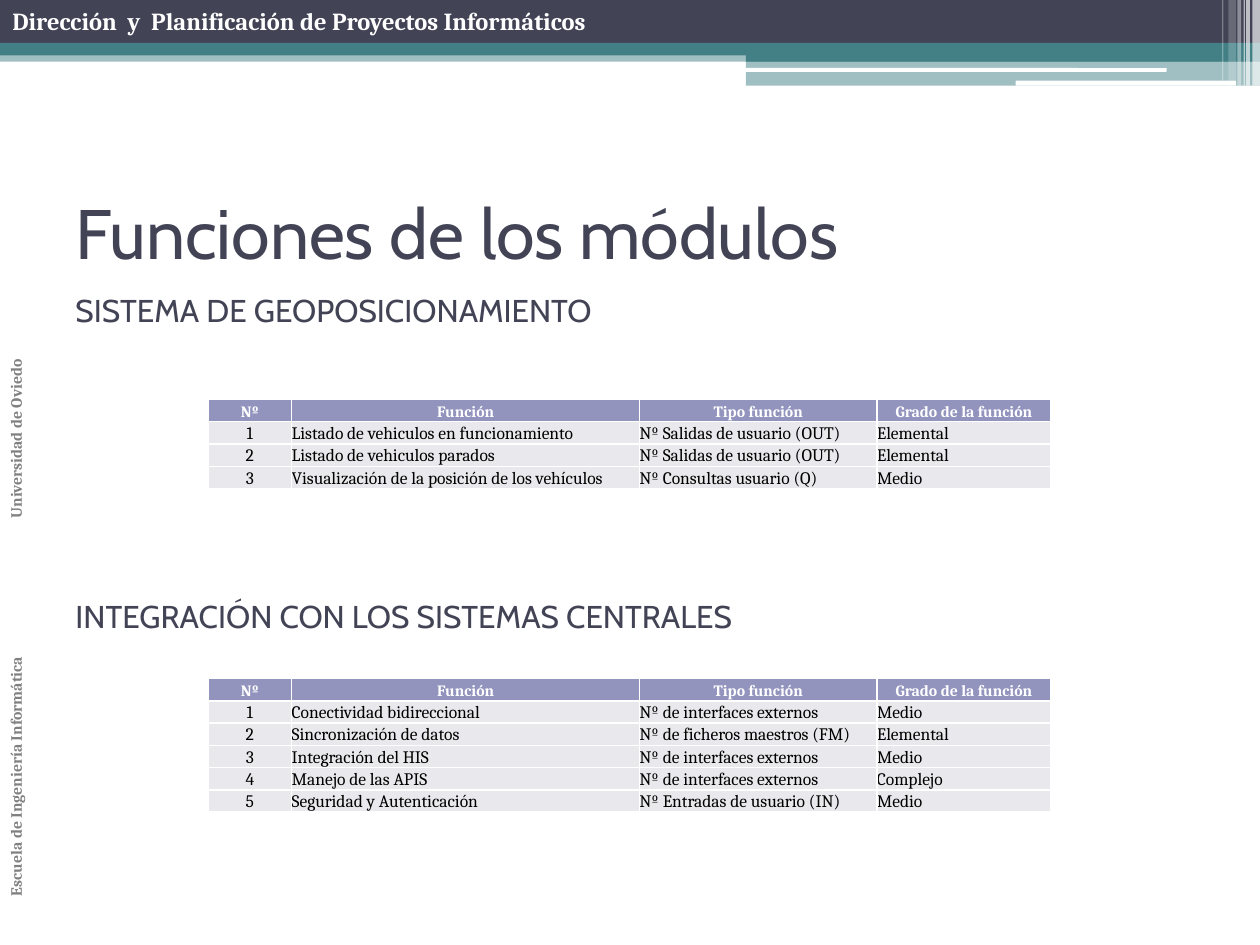
from dataclasses import dataclass

from lxml import etree
from pptx import Presentation
from pptx import util as u
from pptx.dml.color import RGBColor
from pptx.enum import shapes, text
from pptx.oxml.ns import qn

# The slide is a grid of 100 columns by 75 rows
COLUMNS, ROWS = 100, 75
CELL = u.Inches(0.1)

NAVY, TEAL, WHITE, GREY, BLACK = "424456", "438086", "FFFFFF", "808080", "000000"
HEADER_FILL, BODY_FILL = "9394BE", "E9E9ED"
HEADING_FONT, BODY_FONT = "Cabin", "Cambria"
RECT = shapes.MSO_SHAPE.RECTANGLE
ROUNDED = shapes.MSO_SHAPE.ROUNDED_RECTANGLE
LEFT, CENTER = text.PP_ALIGN.LEFT, text.PP_ALIGN.CENTER
MIDDLE, TOP = text.MSO_ANCHOR.MIDDLE, text.MSO_ANCHOR.TOP


@dataclass
class Area:
    col: float
    row: float
    cols: float
    rows: float

    def emu(self) -> list[int]:
        return [round(n * CELL) for n in (self.col, self.row, self.cols, self.rows)]


@dataclass
class Bar:
    area: Area
    color: str
    opacity: int = 100
    kind: int = RECT


@dataclass
class Style:
    size: float
    font: str
    color: str
    bold: bool = False


@dataclass
class Module:
    name: str
    name_row: float
    table_row: float
    functions: list[tuple[str, str, str]]


TITLE = Style(40, HEADING_FONT, NAVY)
MODULE_NAME = Style(18, HEADING_FONT, NAVY)
COURSE = Style(14, BODY_FONT, WHITE, True)
SCHOOL = Style(9, BODY_FONT, GREY, True)
TABLE_HEAD = Style(9, BODY_FONT, WHITE, True)
TABLE_BODY = Style(10, BODY_FONT, BLACK)

BARS = [
    # Full-width bands
    Bar(Area(0, 4, COLUMNS, 0.9), TEAL, 50),
    Bar(Area(0, 0, COLUMNS, 3.4), NAVY),
    Bar(Area(0, 3.4, COLUMNS, 1), TEAL),
    # Right-hand step
    Bar(Area(59.2, 3.9, 40.8, 1), TEAL),
    Bar(Area(59.2, 4.8, 40.8, 2), TEAL, 50),
    Bar(Area(59.1, 5.4, 33.5, 0.3), WHITE, kind=ROUNDED),
    Bar(Area(80.6, 6.4, 17.5, 0.4), WHITE, kind=ROUNDED),
] + [
    # Translucent stripes in the corner
    Bar(Area(col, 0, cols, rows), WHITE, opacity)
    for col, cols, rows, opacity in [
        (99.4, 0.6, 6.8, 65), (98.9, 0.3, 6.8, 65), (98.7, 0.1, 6.8, 60),
        (98.2, 0.3, 6.8, 40), (97.5, 0.6, 6.4, 20), (97, 0.1, 6.4, 30),
    ]
]

HEADINGS = ("Nº", "Función", "Tipo función", "Grado de la función")
TABLE_COL = 16.5
TABLE_COLS = (6.65, 27.6, 18.85, 13.8)
TABLE_ROW_HEIGHT = u.Pt(12.75)
OUTPUTS, INTERFACES = "Nº Salidas de usuario (OUT)", "Nº de interfaces externos"

MODULES = [
    Module("SISTEMA DE GEOPOSICIONAMIENTO", 21.9, 31.7, [
        ("Listado de vehiculos en funcionamiento", OUTPUTS, "Elemental"),
        ("Listado de vehiculos parados", OUTPUTS, "Elemental"),
        ("Visualización de la posición de los vehículos", "Nº Consultas usuario (Q)", "Medio"),
    ]),
    Module("INTEGRACIÓN CON LOS SISTEMAS CENTRALES", 46.2, 53.85, [
        ("Conectividad bidireccional", INTERFACES, "Medio"),
        ("Sincronización de datos", "Nº de ficheros maestros (FM)", "Elemental"),
        ("Integración del HIS", INTERFACES, "Medio"),
        ("Manejo de las APIS", INTERFACES, "Complejo"),
        ("Seguridad y Autenticación", "Nº Entradas de usuario (IN)", "Medio"),
    ]),
]


def paint(fill, color: str) -> None:
    fill.solid()
    fill.fore_color.rgb = RGBColor.from_string(color)


def write(frame, words: str, style: Style, align=LEFT) -> None:
    frame.text = words
    paragraph = frame.paragraphs[0]
    paragraph.alignment = align
    for run in paragraph.runs:
        run.font.size = u.Pt(style.size)
        run.font.name = style.font
        run.font.bold = style.bold
        run.font.color.rgb = RGBColor.from_string(style.color)


def draw_bar(slide, bar: Bar) -> None:
    shape = slide.shapes.add_shape(bar.kind, *bar.area.emu())
    shape.shadow.inherit = False
    shape.line.fill.background()
    paint(shape.fill, bar.color)
    if bar.opacity < 100:
        color = shape.fill._xPr.find(qn("a:solidFill"))[0]
        etree.SubElement(color, qn("a:alpha"), val=str(bar.opacity * 1000))


def draw_text(slide, area: Area, words: str, style: Style, anchor=MIDDLE):
    frame = slide.shapes.add_textbox(*area.emu()).text_frame
    frame.word_wrap = True
    frame.vertical_anchor = anchor
    write(frame, words, style)
    return frame


def add_borders(cell) -> None:
    properties = cell._tc.get_or_add_tcPr()
    for index, side in enumerate(("lnL", "lnR", "lnT", "lnB")):
        line = etree.Element(qn(f"a:{side}"), w=str(u.Pt(1)))
        fill = etree.SubElement(line, qn("a:solidFill"))
        etree.SubElement(fill, qn("a:srgbClr"), val=WHITE)
        properties.insert(index, line)


def draw_table(slide, module: Module) -> None:
    numbered = [(str(n), *row) for n, row in enumerate(module.functions, 1)]
    records = [HEADINGS, *numbered]
    area = Area(TABLE_COL, module.table_row, sum(TABLE_COLS), 1)
    left, top, width, _ = area.emu()
    table = slide.shapes.add_table(len(records), len(HEADINGS), left, top, width,
                                   TABLE_ROW_HEIGHT * len(records)).table
    table.first_row = table.horz_banding = False
    for column, cols in zip(table.columns, TABLE_COLS):
        column.width = round(cols * CELL)
    for r, record in enumerate(records):
        for c, words in enumerate(record):
            cell = table.cell(r, c)
            cell.margin_left = cell.margin_right = cell.margin_top = cell.margin_bottom = 0
            cell.vertical_anchor = text.MSO_ANCHOR.BOTTOM
            heading = r == 0
            write(cell.text_frame, words, TABLE_HEAD if heading else TABLE_BODY,
                  CENTER if heading or c == 0 else LEFT)
            paint(cell.fill, HEADER_FILL if heading else BODY_FILL)
            add_borders(cell)


def main() -> None:
    deck = Presentation()
    deck.slide_width, deck.slide_height = COLUMNS * CELL, ROWS * CELL
    slide = deck.slides.add_slide(deck.slide_layouts[5])

    # Header decoration and course name
    for bar in BARS:
        draw_bar(slide, bar)
    draw_text(slide, Area(0, 0, 61.8, 3.4), "Dirección  y  Planificación de Proyectos Informáticos",
              COURSE, TOP)

    # School and university up the left edge
    side = draw_text(slide, Area(0, 5.4, 3.5, 66.7),
                     "Escuela de Ingeniería Informática\t\t\tUniversidad de Oviedo", SCHOOL, TOP)
    side._txBody.bodyPr.set("vert", "vert270")

    # Title
    title = slide.shapes.title
    title.left, title.top, title.width, title.height = Area(5, 12.5, 90, 11.7).emu()
    title.text_frame.auto_size = text.MSO_AUTO_SIZE.NONE
    title.text_frame.vertical_anchor = MIDDLE
    write(title.text_frame, "Funciones de los módulos", TITLE)

    # Modules with their function tables
    for module in MODULES:
        draw_text(slide, Area(5, module.name_row, 89.9, 5.4), module.name, MODULE_NAME)
        draw_table(slide, module)

    deck.save("out.pptx")


if __name__ == "__main__":
    main()
